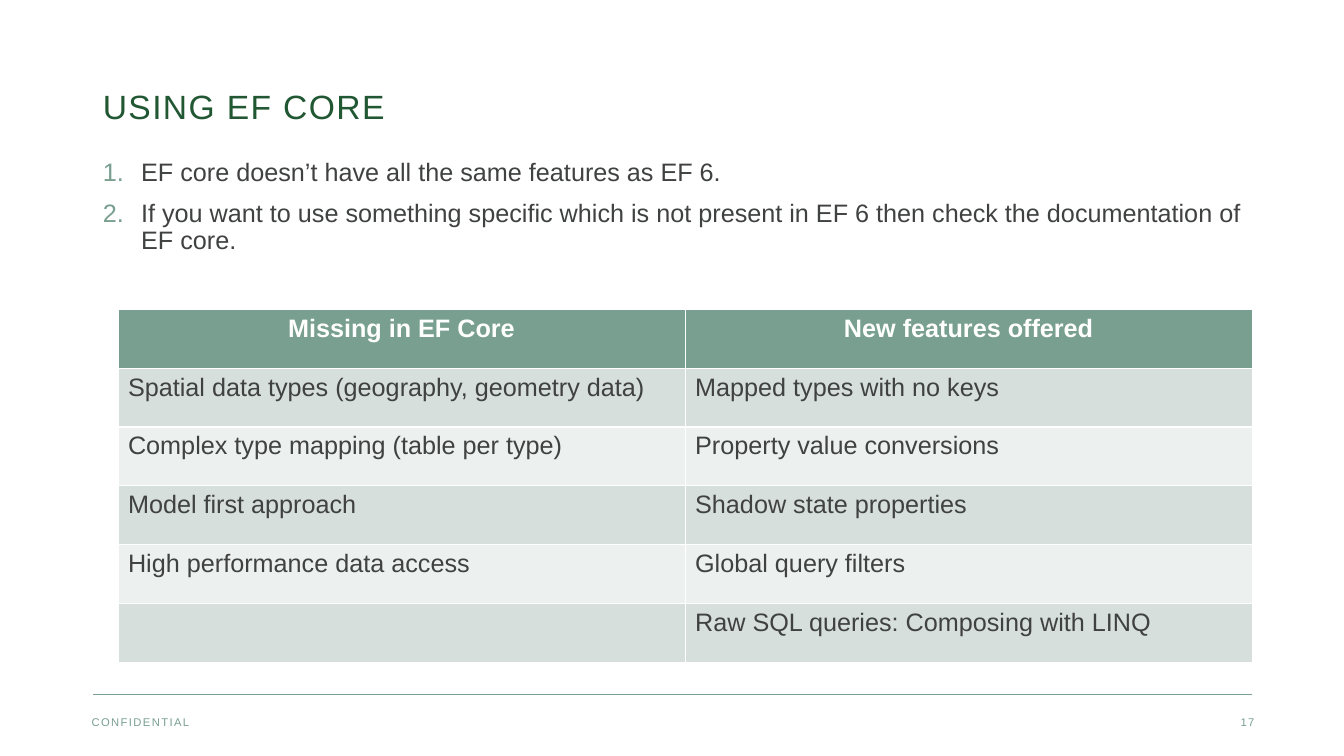
"""Build the slide comparing EF Core features."""
from lxml import etree
from pptx import Presentation
from pptx.dml.color import RGBColor
from pptx.enum import shapes, text
from pptx.oxml import ns
from pptx.util import Inches, Pt

FONT = "Arial"
SAGE, FOREST, CHARCOAL, WHITE = "789F90", "215732", "404141", "FFFFFF"
BANDS = ["ECF0EE", "D6DFDB"]
TITLE = "USING EF CORE"
POINTS = [
    "EF core doesn’t have all the same features as EF 6.",
    "If you want to use something specific which is not present in EF 6 "
    "then check the documentation of EF core.",
]
FEATURES = [
    ("Missing in EF Core", "New features offered"),
    ("Spatial data types (geography, geometry data)", "Mapped types with no keys"),
    ("Complex type mapping (table per type)", "Property value conversions"),
    ("Model first approach", "Shadow state properties"),
    ("High performance data access", "Global query filters"),
    ("", "Raw SQL queries: Composing with LINQ"),
]
FOOTERS = [
    ("CONFIDENTIAL", 0.81, text.PP_ALIGN.LEFT),
    ("17", 9.89, text.PP_ALIGN.RIGHT),
]
LEFT, WIDTH = 0.92, 11.5
TABLE_LEFT, TABLE_TOP, TABLE_WIDTH, TABLE_HEIGHT = 1.17, 3.07, 11.25, 3.5


def color(value):
    return RGBColor.from_string(value)


def place(shape, left, top, width, height):
    shape.left, shape.top = Inches(left), Inches(top)
    shape.width, shape.height = Inches(width), Inches(height)


def format_runs(paragraph, size, value, bold=False, tracking=0):
    for run in paragraph.runs:
        run.font.name = FONT
        run.font.size = Pt(size)
        run.font.bold = bold
        run.font.color.rgb = color(value)
        if tracking:
            run._r.get_or_add_rPr().set("spc", str(tracking * 100))


def number_paragraph(paragraph):
    properties = paragraph._p.get_or_add_pPr()
    properties.set("marL", str(Inches(0.38)))
    properties.set("indent", str(Inches(-0.38)))
    bullet_color = etree.SubElement(properties, ns.qn("a:buClr"))
    etree.SubElement(bullet_color, ns.qn("a:srgbClr"), val=SAGE)
    etree.SubElement(properties, ns.qn("a:buFont"), typeface=FONT)
    etree.SubElement(properties, ns.qn("a:buAutoNum"), type="arabicPeriod")


def add_title(slide):
    title = slide.shapes.title
    place(title, LEFT, 0.4, WIDTH, 0.91)
    frame = title.text_frame
    frame.text = TITLE
    frame.auto_size = text.MSO_AUTO_SIZE.NONE
    frame.vertical_anchor = text.MSO_ANCHOR.BOTTOM
    paragraph = frame.paragraphs[0]
    paragraph.alignment = text.PP_ALIGN.LEFT
    paragraph.line_spacing = 0.9
    format_runs(paragraph, 24, FOREST, tracking=1)


def add_points(slide):
    body = slide.placeholders[1]
    place(body, LEFT, 1.53, WIDTH, 5.14)
    frame = body.text_frame
    frame.text = "\n".join(POINTS)
    frame.auto_size = text.MSO_AUTO_SIZE.NONE
    for index, paragraph in enumerate(frame.paragraphs):
        paragraph.line_spacing = 0.9
        paragraph.space_before = Pt(10 if index else 0)
        number_paragraph(paragraph)
        format_runs(paragraph, 18, CHARCOAL)


def add_features(slide):
    table = slide.shapes.add_table(
        len(FEATURES), len(FEATURES[0]), Inches(TABLE_LEFT), Inches(TABLE_TOP),
        Inches(TABLE_WIDTH), Inches(TABLE_HEIGHT)).table
    for row, labels in enumerate(FEATURES):
        header = row == 0
        for column, label in enumerate(labels):
            cell = table.cell(row, column)
            cell.fill.solid()
            cell.fill.fore_color.rgb = color(SAGE if header else BANDS[row % 2])
            cell.text_frame.text = label
            paragraph = cell.text_frame.paragraphs[0]
            if header:
                paragraph.alignment = text.PP_ALIGN.CENTER
            format_runs(paragraph, 18, WHITE if header else CHARCOAL, bold=header)


def add_footer(slide):
    rule = slide.shapes.add_connector(
        shapes.MSO_CONNECTOR.STRAIGHT, Inches(LEFT), Inches(6.89),
        Inches(LEFT + WIDTH), Inches(6.89))
    rule.line.color.rgb = color(SAGE)
    rule.line.width = Pt(0.5)
    etree.SubElement(rule._element.spPr, ns.qn("a:effectLst"))
    for label, left, alignment in FOOTERS:
        box = slide.shapes.add_textbox(
            Inches(left), Inches(7.05), Inches(2.65), Inches(0.24))
        box.text_frame.word_wrap = True
        box.text_frame.text = label
        paragraph = box.text_frame.paragraphs[0]
        paragraph.alignment = alignment
        format_runs(paragraph, 8, SAGE, tracking=1)


def main():
    presentation = Presentation()
    presentation.slide_width = Inches(13.33)
    presentation.slide_height = Inches(7.5)
    slide = presentation.slides.add_slide(presentation.slide_layouts[1])
    add_footer(slide)
    add_title(slide)
    add_points(slide)
    add_features(slide)
    presentation.save("out.pptx")


if __name__ == "__main__":
    main()
